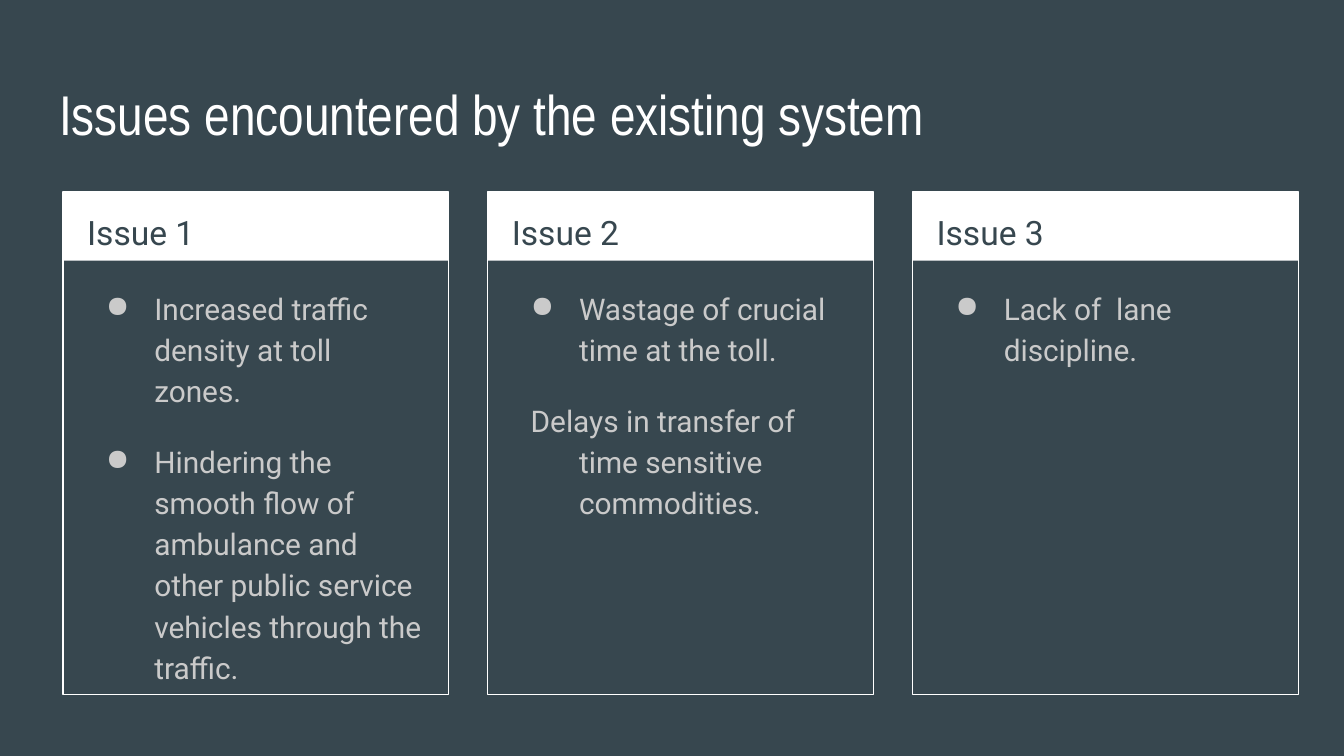
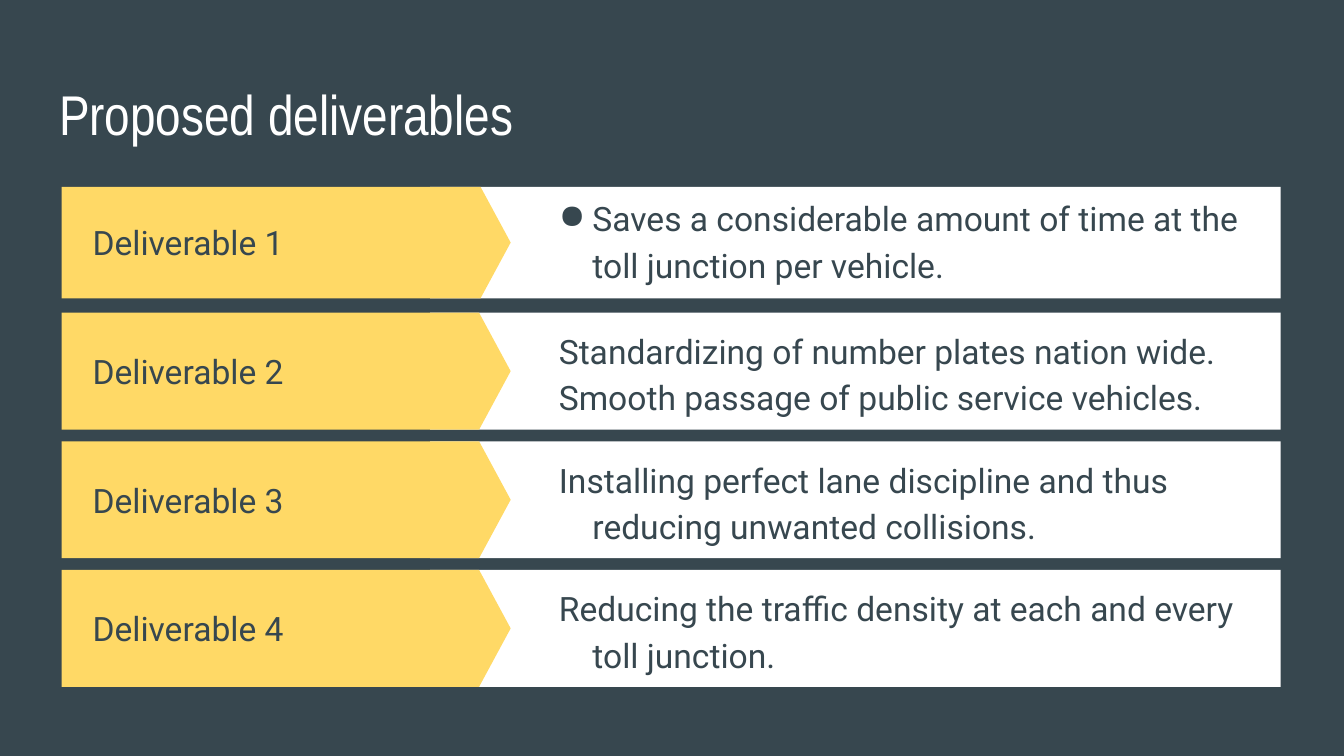
from dataclasses import dataclass

from lxml import etree
from pptx import Presentation
from pptx.dml.color import RGBColor
from pptx.enum.shapes import MSO_SHAPE
from pptx.enum.text import MSO_ANCHOR, MSO_AUTO_SIZE, PP_ALIGN
from pptx.oxml.ns import qn
from pptx.util import Inches, Pt

RECTANGLE, PENTAGON = MSO_SHAPE.RECTANGLE, MSO_SHAPE.PENTAGON
TOP, MIDDLE = MSO_ANCHOR.TOP, MSO_ANCHOR.MIDDLE
LEFT, NO_AUTOFIT = PP_ALIGN.LEFT, MSO_AUTO_SIZE.NONE
TITLE_ONLY = 5

# The grid has 100 square columns across the slide
SLIDE_WIDTH = Inches(10)
SLIDE_HEIGHT = int(SLIDE_WIDTH * 9 / 16)
CELL = SLIDE_WIDTH / 100
INSET = 1


@dataclass(frozen=True)
class Theme:
    slate: str = "37474F"
    white: str = "FFFFFF"
    grey: str = "CACACA"
    yellow: str = "FFD966"
    title_font: str = "Arial Narrow"
    body_font: str = "Roboto"
    title_size: float = 30
    label_size: float = 18
    card_size: float = 16
    outline: float = 0.75
    line_spacing: float = 1.15


THEME = Theme()


@dataclass(frozen=True)
class Area:
    """A place on the grid, in columns and rows."""
    left: float
    top: float
    width: float
    height: float

    def emu(self) -> tuple[int, ...]:
        return tuple(round(n * CELL)
                     for n in (self.left, self.top, self.width, self.height))


@dataclass(frozen=True)
class TextStyle:
    size: float
    color: str
    font: str = THEME.body_font
    anchor: MSO_ANCHOR = TOP
    line_spacing: float | None = None
    space_after: float = 0
    indent: float = 0
    hanging: float = 0


@dataclass(frozen=True)
class Point:
    text: str
    bullet: bool = False


@dataclass(frozen=True)
class Issue:
    label: str
    points: tuple[Point, ...]


@dataclass(frozen=True)
class Deliverable:
    label: str
    points: tuple[Point, ...]
    trim: float = 0   # rows taken off the band at top and bottom
    lift: float = 0   # rows the description sits above its band


TITLE = TextStyle(THEME.title_size, THEME.white, THEME.title_font)
ISSUE_LABEL = TextStyle(THEME.label_size, THEME.slate,
                        line_spacing=THEME.line_spacing)
ISSUE_POINT = TextStyle(THEME.card_size, THEME.grey,
                        line_spacing=THEME.line_spacing,
                        space_after=16, indent=5, hanging=3.6)
DELIVERABLE_LABEL = TextStyle(THEME.label_size, THEME.slate, anchor=MIDDLE)
DELIVERABLE_POINT = TextStyle(THEME.label_size, THEME.slate, anchor=MIDDLE,
                              line_spacing=THEME.line_spacing,
                              indent=5, hanging=2.5)

ISSUES = (
    Issue("Issue 1", (
        Point("Increased traffic density at toll zones.", True),
        Point("Hindering the smooth flow of ambulance and other public "
              "service vehicles through the traffic.", True))),
    Issue("Issue 2", (
        Point("Wastage of crucial time at the toll.", True),
        Point("Delays in transfer of time sensitive commodities."))),
    Issue("Issue 3", (Point("Lack of  lane discipline.", True),)),
)
DELIVERABLES = (
    Deliverable("Deliverable 1", (
        Point("Saves a considerable amount of time at the toll junction "
              "per vehicle.", True),), trim=0.2, lift=0.3),
    Deliverable("Deliverable 2", (
        Point("Standardizing of number plates nation wide."),
        Point("Smooth passage of public service vehicles."))),
    Deliverable("Deliverable 3", (
        Point("Installing perfect lane discipline and thus reducing "
              "unwanted collisions."),)),
    Deliverable("Deliverable 4", (
        Point("Reducing the traffic density at each and every toll "
              "junction."),)),
)


def add_bullet(paragraph, color: str) -> None:
    props = paragraph._p.get_or_add_pPr()
    tint = etree.SubElement(props, qn("a:buClr"))
    etree.SubElement(tint, qn("a:srgbClr"), val=color)
    etree.SubElement(props, qn("a:buChar"), char="●")


def write(frame, points: tuple[Point, ...], style: TextStyle) -> None:
    frame.word_wrap = True
    frame.auto_size = NO_AUTOFIT
    frame.vertical_anchor = style.anchor
    frame.margin_left = frame.margin_right = round(INSET * CELL)
    frame.margin_top = frame.margin_bottom = round(INSET * CELL)
    for index, point in enumerate(points):
        paragraph = frame.add_paragraph() if index else frame.paragraphs[0]
        paragraph.text = point.text
        paragraph.alignment = LEFT
        if style.line_spacing:
            paragraph.line_spacing = style.line_spacing
        paragraph.space_after = Pt(style.space_after)
        if style.indent:
            props = paragraph._p.get_or_add_pPr()
            props.set("marL", str(round(style.indent * CELL)))
            props.set("indent", str(round(-style.hanging * CELL)))
        if point.bullet:
            add_bullet(paragraph, style.color)
        paragraph.font.name = style.font
        paragraph.font.size = Pt(style.size)
        paragraph.font.color.rgb = RGBColor.from_string(style.color)


def add_text(slide, area: Area, points: tuple[Point, ...],
             style: TextStyle) -> None:
    write(slide.shapes.add_textbox(*area.emu()).text_frame, points, style)


def add_panel(shapes, kind: MSO_SHAPE, area: Area, fill: str | None = None,
              line: str | None = None):
    panel = shapes.add_shape(kind, *area.emu())
    panel.shadow.inherit = False
    if fill:
        panel.fill.solid()
        panel.fill.fore_color.rgb = RGBColor.from_string(fill)
    else:
        panel.fill.background()
    if line:
        panel.line.color.rgb = RGBColor.from_string(line)
        panel.line.width = Pt(THEME.outline)
    else:
        panel.line.fill.background()
    return panel


def add_titled_slide(deck, heading: str):
    slide = deck.slides.add_slide(deck.slide_layouts[TITLE_ONLY])
    title = slide.shapes.title
    title.left, title.top, title.width, title.height = Area(
        3.4, 4.9, 93.2, 6.3).emu()
    write(title.text_frame, (Point(heading),), TITLE)
    return slide


def draw_issue(slide, column: int, issue: Issue) -> None:
    left, top, width = 4.7 + 31.6 * column, 14.3, 28.7
    card = slide.shapes.add_group_shape().shapes
    add_panel(card, RECTANGLE, Area(left, top, width, 5.1), fill=THEME.white)
    add_panel(card, RECTANGLE, Area(left, top, width, 37.4), line=THEME.white)
    add_text(slide, Area(left + 0.8, top, 27.3, 5),
             (Point(issue.label),), ISSUE_LABEL)
    add_text(slide, Area(left + 0.8, top + 5.9, 27.1, 30.6),
             issue.points, ISSUE_POINT)


def draw_deliverable(slide, row: int, item: Deliverable) -> None:
    top, height = 13.7 + 9.57 * row, 8.7
    band_top, band_height = top + item.trim, height - 2 * item.trim
    band = slide.shapes.add_group_shape().shapes
    add_panel(band, RECTANGLE, Area(32, band_top, 63.3, band_height),
              fill=THEME.white)
    arrow = add_panel(band, PENTAGON, Area(4.6, band_top, 33.4, band_height),
                      fill=THEME.yellow)
    arrow.adjustments[0] = 0.27
    add_text(slide, Area(5.9, top, 26.5, height),
             (Point(item.label),), DELIVERABLE_LABEL)
    add_text(slide, Area(38.1, top - item.lift, 55.9, height),
             item.points, DELIVERABLE_POINT)


deck = Presentation()
deck.slide_width, deck.slide_height = SLIDE_WIDTH, SLIDE_HEIGHT
backdrop = deck.slide_master.background.fill
backdrop.solid()
backdrop.fore_color.rgb = RGBColor.from_string(THEME.slate)

# Issues: three cards side by side
issues_slide = add_titled_slide(
    deck, "Issues encountered by the existing system")
for column, issue in enumerate(ISSUES):
    draw_issue(issues_slide, column, issue)

# Deliverables: four stacked bands
deliverables_slide = add_titled_slide(deck, "Proposed deliverables")
for row, deliverable in enumerate(DELIVERABLES):
    draw_deliverable(deliverables_slide, row, deliverable)

deck.save("out.pptx")
